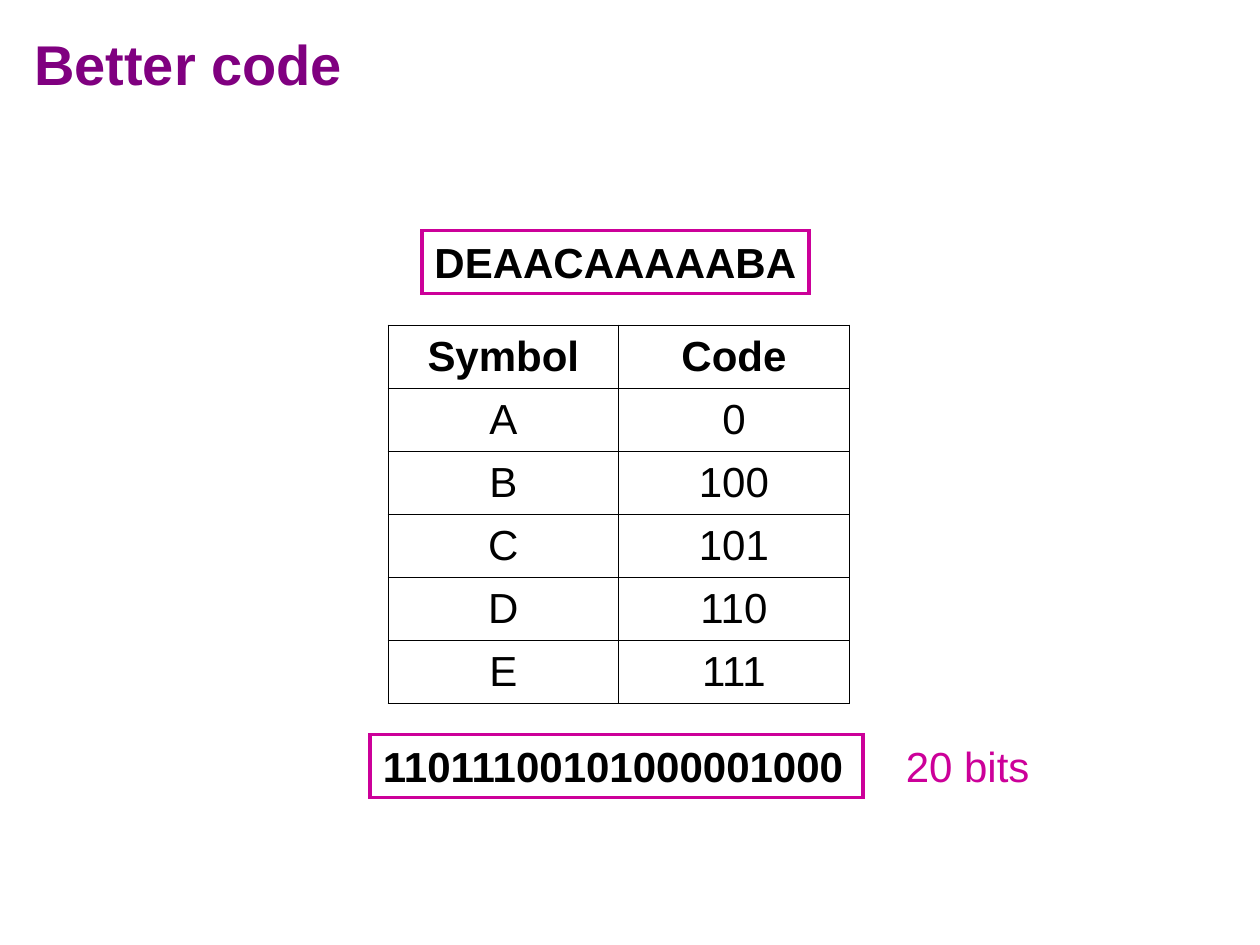
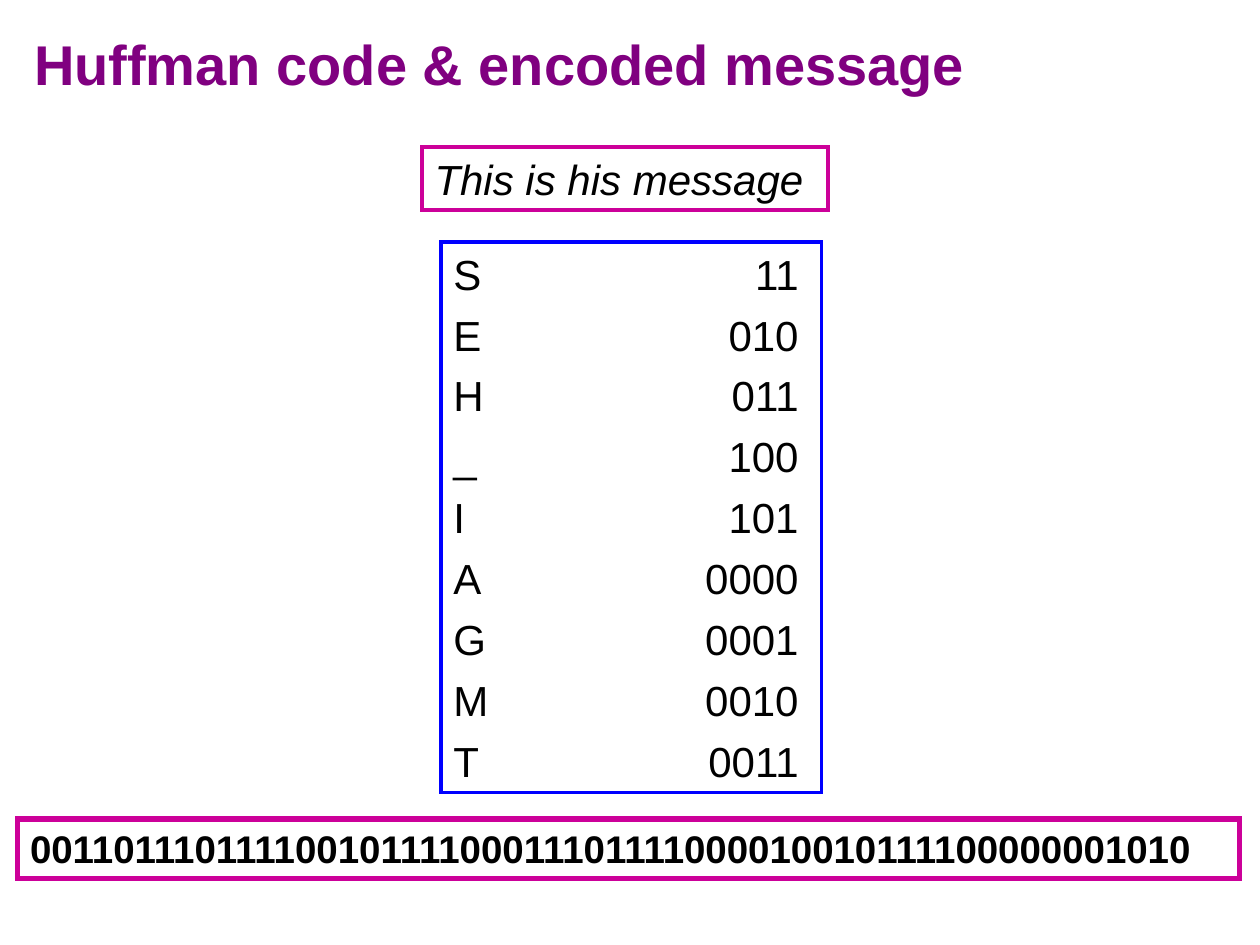
from dataclasses import dataclass
from typing import Optional

from lxml import etree
from pptx import Presentation
from pptx import util as u
from pptx.dml.color import RGBColor
from pptx.enum import shapes, text
from pptx.oxml import ns

FONT = "Arial"
PURPLE = "800080"
MAGENTA = "CC0099"
BLUE = "0000FF"
BLACK = "000000"
TEXT_SIZE = 24
BORDER_WIDTH = 0.45
TABLE_LEFT, TABLE_TOP = 3.08, 2.58
COLUMN_WIDTH, ROW_HEIGHT = 1.83, 0.5
CODE_TAB, CODE_SPACING = 2.74, 6

BETTER_CODE = [
    ("Symbol", "Code"),
    ("A", "0"),
    ("B", "100"),
    ("C", "101"),
    ("D", "110"),
    ("E", "111"),
]
HUFFMAN_CODE = [
    ("S", "11"),
    ("E", "010"),
    ("H", "011"),
    ("_", "100"),
    ("I", "101"),
    ("A", "0000"),
    ("G", "0001"),
    ("M", "0010"),
    ("T", "0011"),
]


@dataclass
class Label:
    words: str
    left: float
    top: float
    width: float
    height: float = 0.5
    size: float = TEXT_SIZE
    bold: bool = False
    italic: bool = False
    color: str = BLACK
    line: Optional[str] = MAGENTA
    line_width: float = 2.25


BETTER_LABELS = [
    Label("DEAACAAAAABA", 3.35, 1.83, 3.07, bold=True),
    Label("11011100101000001000", 2.94, 5.83, 3.91, bold=True),
    Label("20 bits", 7.09, 5.83, 1.18, color=MAGENTA, line=None),
]
HUFFMAN_LABELS = [
    Label("This is his message", 3.35, 1.17, 3.22, italic=True),
    Label("00110111011110010111100011101111000010010111100000001010",
          0.14, 6.5, 9.7, 0.47, size=22, bold=True, line_width=3),
]


def rgb(color: str) -> RGBColor:
    return RGBColor.from_string(color)


def style_paragraph(paragraph, size: float = TEXT_SIZE, color: str = BLACK,
                    bold: bool = False, italic: bool = False,
                    align=text.PP_ALIGN.LEFT) -> None:
    paragraph.alignment = align
    font = paragraph.font
    font.name, font.size = FONT, u.Pt(size)
    font.bold, font.italic = bold, italic
    font.color.rgb = rgb(color)


def add_titled_slide(presentation, title: str):
    slide = presentation.slides.add_slide(presentation.slide_layouts[5])
    shape = slide.shapes.title
    shape.left, shape.top = u.Inches(0.17), u.Inches(0.04)
    shape.width, shape.height = u.Inches(9.67), u.Inches(0.92)
    shape.text_frame.text = title
    shape.text_frame.vertical_anchor = text.MSO_ANCHOR.MIDDLE
    style_paragraph(shape.text_frame.paragraphs[0], 32, PURPLE, bold=True)
    return slide


def add_label(slide, label: Label):
    position = [u.Inches(value) for value in
                (label.left, label.top, label.width, label.height)]
    if label.line:
        shape = slide.shapes.add_shape(shapes.MSO_SHAPE.RECTANGLE, *position)
        shape.shadow.inherit = False
        shape.fill.background()
        shape.line.color.rgb = rgb(label.line)
        shape.line.width = u.Pt(label.line_width)
        outline = shape._element.spPr.find(ns.qn("a:ln"))
        etree.SubElement(outline, ns.qn("a:miter"), lim="800000")
    else:
        shape = slide.shapes.add_textbox(*position)
    frame = shape.text_frame
    frame.word_wrap = True
    frame.margin_right = 0
    frame.vertical_anchor = text.MSO_ANCHOR.TOP
    frame.text = label.words
    for paragraph in frame.paragraphs:
        style_paragraph(paragraph, label.size, label.color, label.bold, label.italic)
    return shape


def add_code_list(slide, code: list[tuple[str, str]]) -> None:
    lines = "\n".join(f"{symbol}\t{bits}" for symbol, bits in code)
    shape = add_label(slide, Label(lines, 3.5, 1.92, 3.02, 4.37, line=BLUE))
    for paragraph in shape.text_frame.paragraphs:
        paragraph.space_before = u.Pt(CODE_SPACING)
        tabs = etree.Element(ns.qn("a:tabLst"))
        etree.SubElement(tabs, ns.qn("a:tab"), pos=str(u.Inches(CODE_TAB)), algn="r")
        properties = paragraph._p.get_or_add_pPr()
        properties.find(ns.qn("a:defRPr")).addprevious(tabs)


def set_cell_borders(cell) -> None:
    properties = cell._tc.get_or_add_tcPr()
    for index, side in enumerate("LRTB"):
        line = etree.Element(ns.qn(f"a:ln{side}"), w=str(u.Pt(BORDER_WIDTH)))
        fill = etree.SubElement(line, ns.qn("a:solidFill"))
        etree.SubElement(fill, ns.qn("a:srgbClr"), val=BLACK)
        properties.insert(index, line)


def add_code_table(slide, code: list[tuple[str, str]]) -> None:
    row_count, column_count = len(code), len(code[0])
    table = slide.shapes.add_table(
        row_count, column_count, u.Inches(TABLE_LEFT), u.Inches(TABLE_TOP),
        u.Inches(COLUMN_WIDTH * column_count), u.Inches(ROW_HEIGHT * row_count)).table
    table.first_row = table.horz_banding = False
    for row, values in enumerate(code):
        for column, value in enumerate(values):
            cell = table.cell(row, column)
            cell.text = value
            cell.vertical_anchor = text.MSO_ANCHOR.MIDDLE
            cell.fill.background()
            style_paragraph(cell.text_frame.paragraphs[0], bold=row == 0,
                            align=text.PP_ALIGN.CENTER)
            set_cell_borders(cell)


def main() -> None:
    presentation = Presentation()
    presentation.slide_width = u.Inches(10)
    presentation.slide_height = u.Inches(7.5)

    better = add_titled_slide(presentation, "Better code")
    add_code_table(better, BETTER_CODE)
    for label in BETTER_LABELS:
        add_label(better, label)

    huffman = add_titled_slide(presentation, "Huffman code & encoded message")
    add_code_list(huffman, HUFFMAN_CODE)
    for label in HUFFMAN_LABELS:
        add_label(huffman, label)

    presentation.save("out.pptx")


if __name__ == "__main__":
    main()
